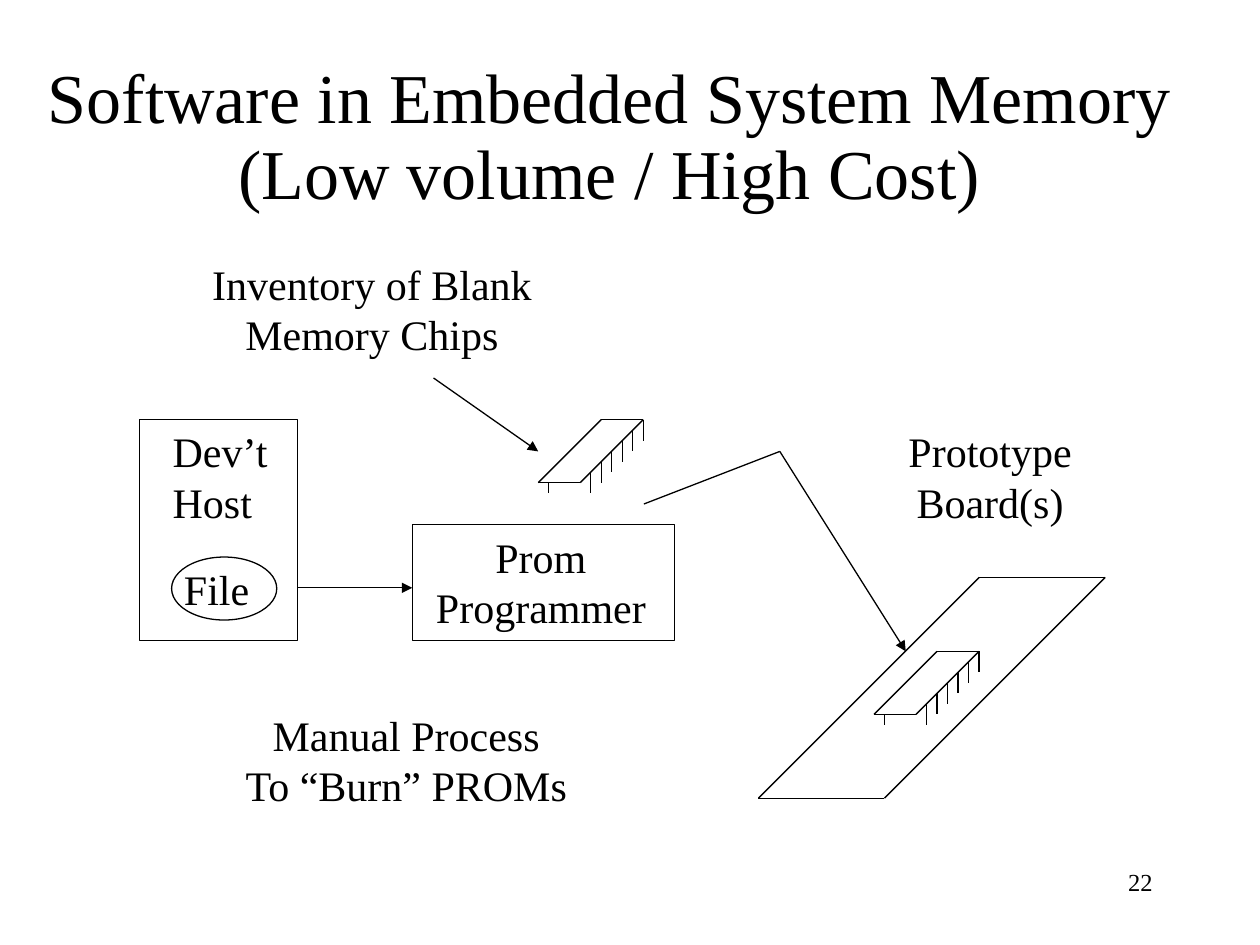
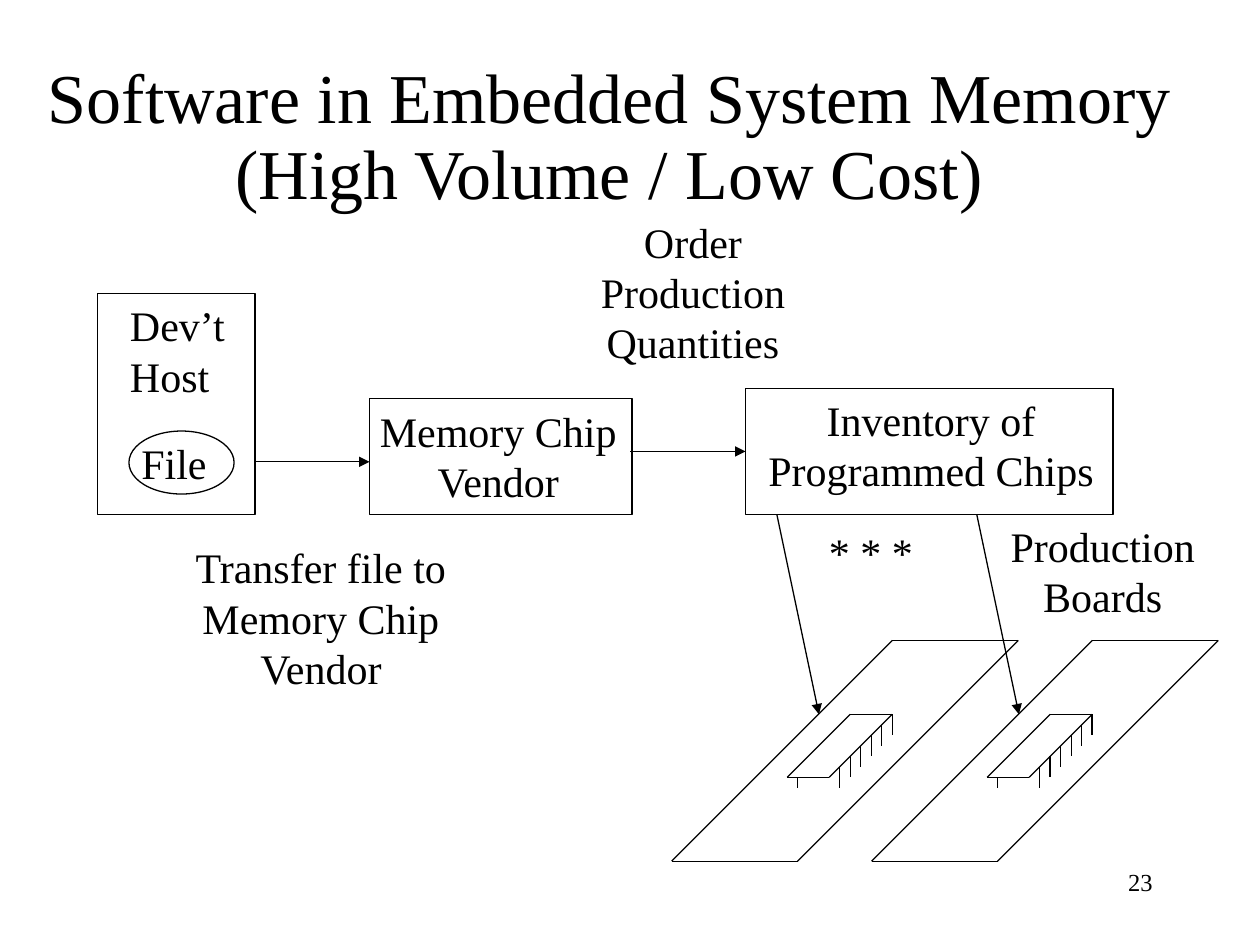
from lxml.etree import SubElement
from pptx import Presentation
from pptx.dml.color import RGBColor
from pptx.enum.shapes import MSO_CONNECTOR as Line, MSO_SHAPE as Shape
from pptx.enum.text import MSO_ANCHOR as Anchor, MSO_AUTO_SIZE as AutoSize, PP_ALIGN as Align
from pptx.oxml.ns import qn
from pptx.util import Cm, Pt

BLACK = RGBColor(0, 0, 0)
FONT = "Times New Roman"
LINE_WIDTH = Pt(0.75)
TITLE_BOTTOM = 4.45
CHIP_DEPTH = 1.27
CHIP_PITCH = CHIP_DEPTH / 6
LEG_COUNT = 6


def lengths(*values):
    """Turn centimetre values into slide lengths."""
    return [Cm(value) for value in values]


def style_text(paragraph, size, align):
    """Give a paragraph its alignment and its font."""
    paragraph.alignment = align
    formats = {"name": FONT, "size": Pt(size)}
    for key, value in formats.items():
        setattr(paragraph.font, key, value)
    paragraph.font.color.rgb = BLACK
    for run in paragraph.runs:
        run.font.name = FONT


def write(slide, left, top, width, *rows, size=24, align=Align.CENTER):
    """Write rows of text, one paragraph each, in a box with room to spare."""
    box = lengths(left, top, width, 0.25 + 1.01 * len(rows))
    frame = slide.shapes.add_textbox(*box).text_frame
    formats = {
        "text": "\n".join(rows),
        "word_wrap": True,
        "auto_size": AutoSize.NONE,
    }
    for key, value in formats.items():
        setattr(frame, key, value)
    for paragraph in frame.paragraphs:
        style_text(paragraph, size, align)


def draw_line(slide, start, end, arrow=False):
    """Draw a thin straight line, with an arrowhead at its end if asked."""
    line = slide.shapes.add_connector(Line.STRAIGHT, *lengths(*start, *end))
    line.line.color.rgb = BLACK
    line.line.width = LINE_WIDTH
    properties = line._element.spPr
    if arrow:
        SubElement(properties.find(qn("a:ln")), qn("a:tailEnd"), type="triangle")
    SubElement(properties, qn("a:effectLst"))


def draw_outline(slide, kind, left, top, width, height):
    """Draw an unfilled preset shape."""
    outline = slide.shapes.add_shape(kind, *lengths(left, top, width, height))
    outline.shadow.inherit = False
    outline.fill.background()
    outline.line.color.rgb = BLACK
    outline.line.width = LINE_WIDTH


def draw_slab(slide, left, top, face, depth):
    """Draw the four edges of a flat slab that leans right by its depth."""
    bottom = top + depth
    corners = [
        (left, bottom), (left + depth, top),
        (left + depth + face, top), (left + face, bottom),
    ]
    for start, end in zip(corners, corners[1:] + corners[:1]):
        draw_line(slide, start, end)


def draw_chip(slide, left, top):
    """Draw a memory chip with legs along its right edge."""
    face = 4 * CHIP_PITCH
    draw_slab(slide, left, top, face, CHIP_DEPTH)
    for step in range(LEG_COUNT):
        leg_x = left + face + CHIP_DEPTH - step * CHIP_PITCH
        leg_y = top + step * CHIP_PITCH
        draw_line(slide, (leg_x, leg_y), (leg_x, leg_y + 2 * CHIP_PITCH))
    front_x, front_y = left + CHIP_PITCH, top + CHIP_DEPTH
    draw_line(slide, (front_x, front_y), (front_x, front_y + CHIP_PITCH))


def draw_board(slide, left, top, source):
    """Draw a board with its chip and the arrow that reaches it from source."""
    draw_slab(slide, left, top, 2.54, 4.45)
    draw_chip(slide, left + 2.33, top + 1.49)
    draw_line(slide, source, (left + 2.97, top + 1.49), arrow=True)


def draw_file_transfer(slide, left, top, *receiver):
    """Draw the host and its file, with an arrow to the named receiver."""
    receiver_left, link_y = left + 5.49, top + 3.39
    draw_outline(slide, Shape.RECTANGLE, left, top, 3.18, 4.45)
    write(slide, left + 0.41, top, 2.75, "Dev’t", "Host", align=Align.LEFT)
    draw_outline(slide, Shape.OVAL, left + 0.64, top + 2.77, 2.12, 1.27)
    write(slide, left + 0.64, top + 2.77, 2.12, "File", align=Align.LEFT)
    draw_outline(slide, Shape.RECTANGLE, receiver_left, top + 2.12, 5.29, 2.33)
    write(slide, receiver_left - 0.3, top + 2.12, 5.79, *receiver)
    draw_line(slide, (left + 3.18, link_y), (receiver_left, link_y), arrow=True)


def start_slide(deck, subtitle, number, title_top):
    """Add a slide with the common heading and its page number."""
    slide = deck.slides.add_slide(deck.slide_layouts[5])
    title = slide.shapes.title
    box = lengths(0, title_top, 24.56, TITLE_BOTTOM - title_top)
    for key, value in zip(("left", "top", "width", "height"), box):
        setattr(title, key, value)
    formats = {
        "text": f"Software in Embedded System Memory\v({subtitle})",
        "vertical_anchor": Anchor.BOTTOM,
        "auto_size": AutoSize.NONE,
        "word_wrap": True,
    }
    for key, value in formats.items():
        setattr(title.text_frame, key, value)
    heading = title.text_frame.paragraphs[0]
    heading.line_spacing = 0.9
    style_text(heading, 40, Align.CENTER)
    write(slide, 18.21, 17.35, 5.28, str(number), size=14, align=Align.RIGHT)
    return slide


def build_low_volume(deck):
    """Show chips burned by hand for a prototype board."""
    slide = start_slide(deck, "Low volume / High Cost", 22, 0.84)
    draw_file_transfer(slide, 2.82, 8.46, "Prom", "Programmer")
    write(slide, 3.5, 5.08, 8, "Inventory of Blank", "Memory Chips")
    draw_line(slide, (8.74, 7.62), (10.85, 9.1), arrow=True)
    draw_chip(slide, 10.85, 8.46)
    bend = (15.72, 9.1)
    draw_line(slide, (12.98, 10.16), bend)
    draw_board(slide, 15.29, 11.64, bend)
    write(slide, 17.46, 8.46, 5, "Prototype", "Board(s)")
    write(slide, 4.19, 14.18, 8, "Manual Process", "To “Burn” PROMs")


def build_high_volume(deck):
    """Show programmed chips ordered from a vendor for production boards."""
    slide = start_slide(deck, "High Volume / Low Cost", 23, 1.06)
    draw_file_transfer(slide, 1.96, 5.92, "Memory Chip", "Vendor")
    draw_line(slide, (12.7, 9.1), (15.03, 9.1), arrow=True)
    draw_outline(slide, Shape.RECTANGLE, 15.03, 7.83, 7.41, 2.54)
    write(slide, 14.77, 7.83, 8, "Inventory of", "Programmed Chips")
    for board_left in (13.54, 17.57):
        draw_board(slide, board_left, 12.91, (board_left + 2.12, 10.37))
    write(slide, 16.46, 10.49, 3, "* * *", align=Align.LEFT)
    write(slide, 19.73, 10.37, 5, "Production", "Boards")
    write(slide, 3.47, 10.8, 6, "Transfer file to", "Memory Chip", "Vendor")
    write(slide, 11.47, 4.23, 5, "Order", "Production", "Quantities")


def main():
    """Build and save the deck."""
    deck = Presentation()
    deck.slide_width, deck.slide_height = lengths(25.4, 19.05)
    build_low_volume(deck)
    build_high_volume(deck)
    deck.save("out.pptx")


if __name__ == "__main__":
    main()
